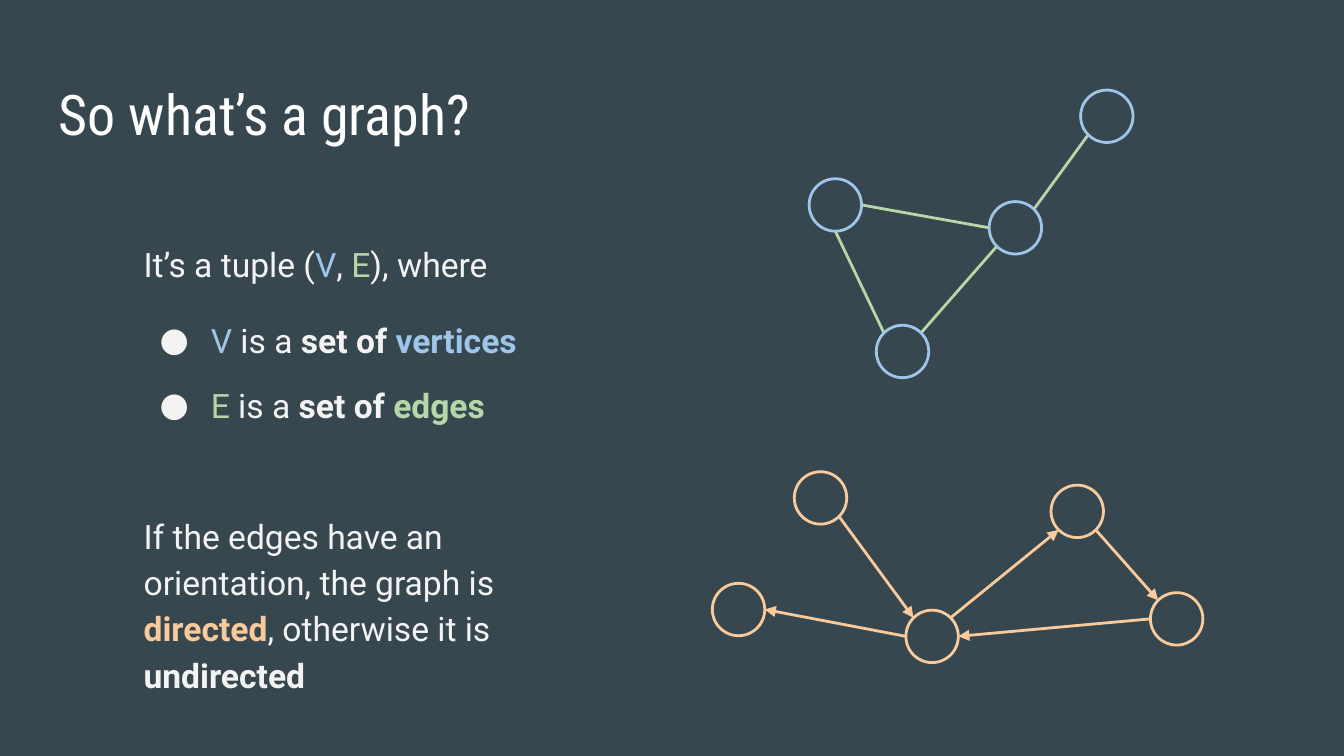
import math

import pptx
import pptx.dml.color
import pptx.enum.shapes
import pptx.enum.text
import pptx.oxml.ns
import pptx.util
from lxml import etree

Inches = pptx.util.Inches
Pt = pptx.util.Pt
RGBColor = pptx.dml.color.RGBColor

BACKGROUND = RGBColor(0x37, 0x47, 0x4F)
WHITE = RGBColor(0xFF, 0xFF, 0xFF)
LIGHT = RGBColor(0xF3, 0xF3, 0xF3)
BLUE = RGBColor(0x9F, 0xC5, 0xE8)
GREEN = RGBColor(0xB6, 0xD7, 0xA8)
ORANGE = RGBColor(0xF9, 0xCB, 0x9C)

# Points on a circle where an edge can end, in degrees clockwise from the right
RIGHT, BOTTOM_RIGHT, BOTTOM, BOTTOM_LEFT, LEFT, TOP_LEFT, TOP, TOP_RIGHT = range(0, 360, 45)


def add_xml(parent, tag, **attributes):
    return etree.SubElement(parent, pptx.oxml.ns.qn(tag), attributes)


def set_format(target, values):
    for name, value in values.items():
        setattr(target, name, value)


class GraphSlide:
    DIAMETER = 0.39
    LINE_WIDTH = Pt(1.5)
    TITLE_FONT = {"name": "Roboto Condensed", "size": Pt(30)}
    BODY_FONT = {"name": "Roboto", "size": Pt(18)}

    def __init__(self, presentation):
        self.slide = presentation.slides.add_slide(presentation.slide_layouts[6])
        self.shapes = self.slide.shapes
        fill = self.slide.background.fill
        fill.solid()
        fill.fore_color.rgb = BACKGROUND

    def text(self, left, top, width, height, font, paragraphs):
        """Each paragraph is (format values, bulleted, runs of (text, colour, bold))."""
        box = self.shapes.add_textbox(*map(Inches, (left, top, width, height)))
        frame = box.text_frame
        set_format(frame, {
            "word_wrap": True,
            "vertical_anchor": pptx.enum.text.MSO_ANCHOR.TOP,
            **dict.fromkeys(("margin_left", "margin_top", "margin_right", "margin_bottom"),
                            Inches(0.1)),
        })
        for index, (values, bulleted, runs) in enumerate(paragraphs):
            paragraph = frame.add_paragraph() if index else frame.paragraphs[0]
            set_format(paragraph, values)
            if bulleted:
                self.bullet(paragraph, font["name"])
            for words, color, bold in runs:
                run = paragraph.add_run()
                run.text = words
                set_format(run.font, {**font, "bold": bold})
                run.font.color.rgb = color

    def bullet(self, paragraph, typeface):
        properties = paragraph._p.get_or_add_pPr()
        properties.set("marL", str(Inches(0.5)))
        properties.set("indent", str(Inches(-0.38)))
        add_xml(add_xml(properties, "a:buClr"), "a:srgbClr", val=str(LIGHT))
        add_xml(properties, "a:buFont", typeface=typeface)
        add_xml(properties, "a:buChar", char="●")

    def stroke(self, shape, color):
        shape.line.color.rgb = color
        shape.line.width = self.LINE_WIDTH

    def vertex(self, position, color):
        size = Inches(self.DIAMETER)
        circle = self.shapes.add_shape(pptx.enum.shapes.MSO_SHAPE.OVAL,
                                       *map(Inches, position), size, size)
        circle.shadow.inherit = False
        circle.fill.background()
        self.stroke(circle, color)

    def rim(self, position, angle):
        radius, radians = self.DIAMETER / 2, math.radians(angle)
        left, top = position
        return (Inches(left + radius + radius * math.cos(radians)),
                Inches(top + radius + radius * math.sin(radians)))

    def edge(self, start, end, color, directed):
        line = self.shapes.add_connector(pptx.enum.shapes.MSO_CONNECTOR.STRAIGHT,
                                         *self.rim(*start), *self.rim(*end))
        self.stroke(line, color)
        if directed:
            add_xml(line.line._get_or_add_ln(), "a:tailEnd", type="triangle")
        add_xml(line._element.spPr, "a:effectLst")

    def graph(self, vertices, edges, vertex_color, edge_color, directed=False):
        for source, exit_angle, target, entry_angle in edges:
            self.edge((vertices[source], exit_angle), (vertices[target], entry_angle),
                      edge_color, directed)
        for position in vertices.values():
            self.vertex(position, vertex_color)


def main():
    presentation = pptx.Presentation()
    # Widescreen, 16 to 9
    set_format(presentation, {"slide_width": Inches(10), "slide_height": Inches(10) * 9 // 16})
    page = GraphSlide(presentation)

    # Title
    page.text(0.34, 0.49, 3.38, 0.63, page.TITLE_FONT,
              [({}, False, [("So what’s a graph?", WHITE, False)])])

    # Definition
    def spacing(before):
        return {"line_spacing": 1.15, "space_before": Pt(before)}

    def member(before, letter, noun, color):
        return (spacing(before), True, [
            (letter, color, False), (" is a ", LIGHT, False),
            ("set of ", LIGHT, True), (noun, color, True)])

    page.text(0.97, 1.67, 3.72, 3.15, page.BODY_FONT, [
        (spacing(0), False, [
            ("It’s a tuple (", LIGHT, False), ("V", BLUE, False), (", ", LIGHT, False),
            ("E", GREEN, False), ("), where", LIGHT, False)]),
        member(16, "V", "vertices", BLUE),
        member(10, "E", "edges", GREEN),
        (spacing(45), False, [
            ("If the edges have an orientation, the graph is ", LIGHT, False),
            ("directed", ORANGE, True), (", otherwise it is ", LIGHT, False),
            ("undirected", LIGHT, True)]),
    ])

    # Undirected graph
    page.graph(
        {"west": (6.02, 1.33), "hub": (7.36, 1.5), "south": (6.52, 2.42), "north": (8.04, 0.67)},
        [("west", BOTTOM, "south", TOP_LEFT),
         ("west", RIGHT, "hub", LEFT),
         ("hub", BOTTOM_LEFT, "south", TOP_RIGHT),
         ("hub", TOP_RIGHT, "north", BOTTOM_LEFT)],
        BLUE, GREEN)

    # Directed graph
    page.graph(
        {"source": (5.91, 3.51), "hub": (6.74, 4.54), "sink": (5.3, 4.34),
         "north": (7.82, 3.61), "east": (8.56, 4.41)},
        [("source", BOTTOM_RIGHT, "hub", TOP_LEFT),
         ("hub", LEFT, "sink", RIGHT),
         ("hub", TOP_RIGHT, "north", BOTTOM_LEFT),
         ("north", BOTTOM_RIGHT, "east", TOP_LEFT),
         ("east", LEFT, "hub", RIGHT)],
        ORANGE, ORANGE, directed=True)

    presentation.save("out.pptx")


if __name__ == "__main__":
    main()
